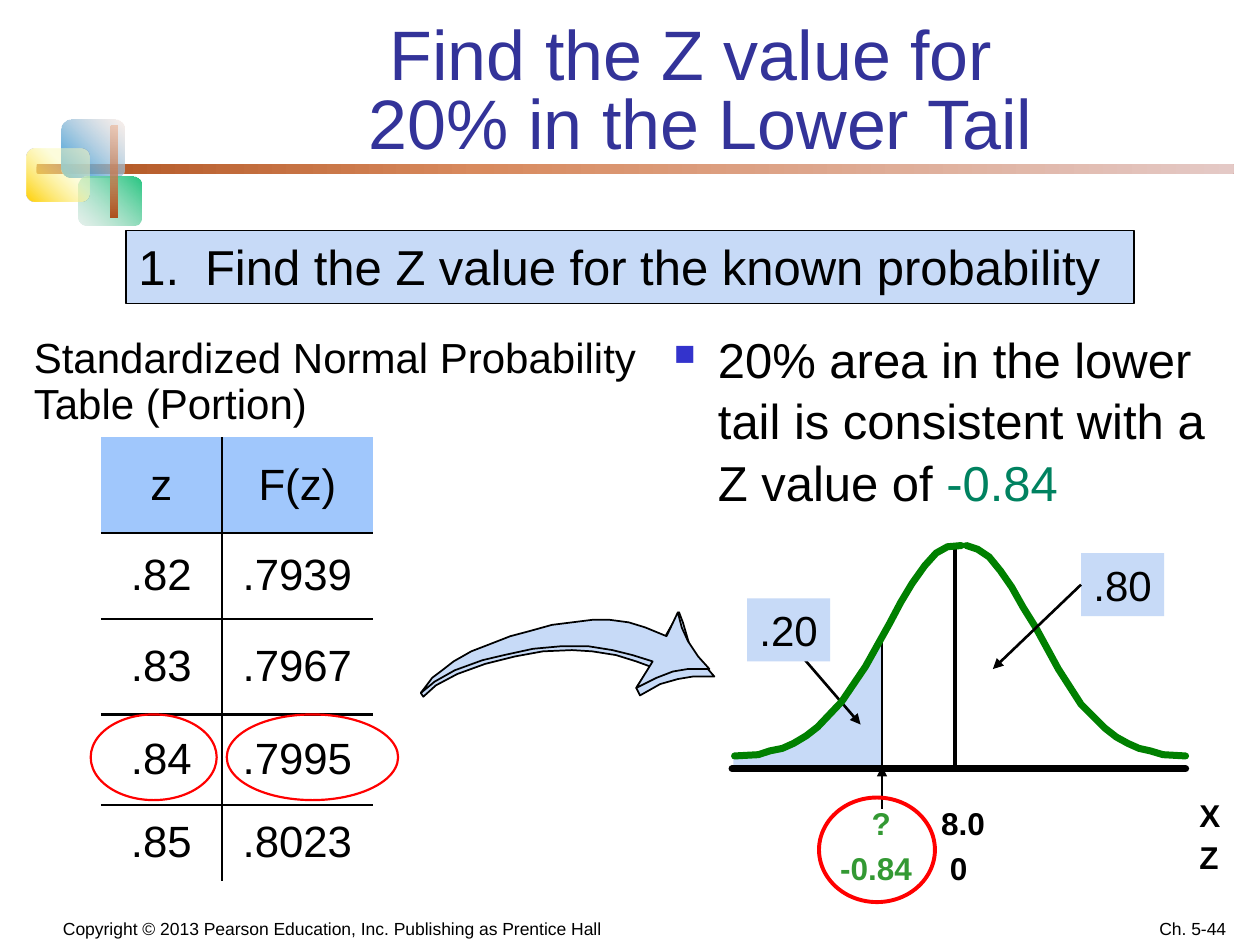
from lxml import etree
from pptx import Presentation
from pptx import util as u
from pptx.dml.color import RGBColor
from pptx.enum import shapes, text
from pptx.oxml import parse_xml
from pptx.oxml.ns import nsdecls, qn

BLACK = RGBColor(0x00, 0x00, 0x00)
NAVY = RGBColor(0x33, 0x33, 0x99)
TEAL = RGBColor(0x00, 0x82, 0x60)
LEAF = RGBColor(0x33, 0x99, 0x33)
GREEN = RGBColor(0x00, 0x80, 0x00)
RED = RGBColor(0xFF, 0x00, 0x00)
PALE = RGBColor(0xC7, 0xDA, 0xF7)
BLUE = RGBColor(0xA0, 0xC7, 0xFC)

ALIGN = text.PP_ALIGN
ANCHOR = text.MSO_ANCHOR
KIND = shapes.MSO_SHAPE

# Each band: box, angle, stops of (position, colour, opacity)
BANDS = [
    ((0.29, 1.3, 9.5, 0.08), 0, [(0, "AE511E", 100), (37, "D88A5E", 100), (100, "E4C9C6", 100)]),
    ((0.49, 0.95, 0.5, 0.46), 315, [(0, "2895D8", 100), (100, "F7E2D9", 50)]),
    ((0.62, 1.4, 0.5, 0.39), 135, [(0, "25C580", 100), (100, "CCE2D9", 50)]),
    ((0.21, 1.18, 0.5, 0.42), 315, [(0, "FFCF01", 100), (63, "FCFCBC", 50)]),
    ((0.88, 1, 0.05, 0.73), 270, [(0, "AE511E", 100), (100, "EAA782", 50)]),
]
ROWS = [("z", "F(z)"), (".82", ".7939"), (".83", ".7967"), (".84", ".7995"), (".85", ".8023")]
WIDTHS = (0.96, 1.2)
HEIGHTS = (0.76, 0.68, 0.76, 0.72, 0.6)

BACK = [
    (3.36, 5.53), (3.34, 5.5), (3.44, 5.39), (3.52, 5.33), (3.61, 5.27), (3.75, 5.2),
    (3.88, 5.14), (4.06, 5.08), (4.21, 5.03), (4.39, 4.99), (4.55, 4.96), (4.71, 4.95),
    (4.86, 4.96), (5.01, 4.98), (5.14, 5.01), (5.27, 5.07), (5.39, 4.86), (5.42, 4.94),
    (5.47, 5.11), (5.54, 5.22), (5.67, 5.37), (5.5, 5.37), (5.38, 5.39), (5.24, 5.43),
    (5.08, 5.52), (5.05, 5.46), (5.16, 5.29), (5.05, 5.25), (4.89, 5.2), (4.7, 5.17),
    (4.54, 5.16), (4.31, 5.17), (4.09, 5.21), (3.85, 5.27), (3.63, 5.35), (3.46, 5.44)]
FRONT = [
    (3.34, 5.5), (3.43, 5.38), (3.51, 5.32), (3.6, 5.25), (3.74, 5.17), (3.87, 5.12),
    (4.05, 5.05), (4.2, 5.01), (4.38, 4.96), (4.54, 4.94), (4.7, 4.92), (4.84, 4.92),
    (4.99, 4.94), (5.12, 4.98), (5.29, 5.05), (5.38, 4.86), (5.41, 4.98), (5.46, 5.09),
    (5.54, 5.21), (5.63, 5.31), (5.46, 5.31), (5.34, 5.33), (5.21, 5.38), (5.05, 5.46),
    (5.18, 5.25), (5.02, 5.2), (4.86, 5.16), (4.67, 5.13), (4.45, 5.13), (4.23, 5.15),
    (4, 5.2), (3.83, 5.24), (3.61, 5.32), (3.45, 5.41)]
TAIL = [
    (7, 6.09), (7, 5.05), (6.88, 5.26), (6.77, 5.45), (6.68, 5.56), (6.49, 5.76),
    (6.42, 5.82), (6.21, 5.93), (6.09, 5.97), (5.97, 5.99), (5.82, 6), (5.82, 6.09)]
LEFT = [
    (5.83, 6), (6.02, 5.99), (6.11, 5.96), (6.21, 5.94), (6.3, 5.9), (6.4, 5.84),
    (6.49, 5.77), (6.68, 5.57), (6.87, 5.29), (7.06, 4.95), (7.15, 4.78), (7.24, 4.63),
    (7.34, 4.49), (7.43, 4.39), (7.52, 4.34), (7.63, 4.33)]
RIGHT = [
    (9.41, 6), (9.23, 5.99), (9.13, 5.96), (9.04, 5.94), (8.95, 5.9), (8.86, 5.85),
    (8.77, 5.78), (8.58, 5.59), (8.4, 5.31), (8.22, 4.98), (8.12, 4.82), (8.03, 4.66),
    (7.94, 4.53), (7.85, 4.42), (7.76, 4.36), (7.67, 4.33)]


def inches(vals):
    return [u.Inches(v) for v in vals]


def style(shape, fill=None, line=None, width=1):
    shape.shadow.inherit = False
    if fill is None:
        shape.fill.background()
    else:
        shape.fill.solid()
        shape.fill.fore_color.rgb = fill
    if line is None:
        shape.line.fill.background()
    else:
        shape.line.color.rgb = line
        shape.line.width = u.Pt(width)
    return shape


def add_shape(slide, kind, box, **look):
    return style(slide.shapes.add_shape(kind, *inches(box)), **look)


def add_band(slide, box, angle, stops):
    band = add_shape(slide, KIND.ROUNDED_RECTANGLE, box)
    marks = "".join(
        f'<a:gs pos="{pos * 1000}"><a:srgbClr val="{color}">'
        f'<a:alpha val="{alpha * 1000}"/></a:srgbClr></a:gs>' for pos, color, alpha in stops)
    grad = parse_xml(f'<a:gradFill {nsdecls("a")} rotWithShape="1"><a:gsLst>{marks}</a:gsLst>'
                     f'<a:lin ang="{angle * 60000}" scaled="0"/></a:gradFill>')
    props = band._element.spPr
    props.replace(props.find(qn("a:noFill")), grad)


def add_path(slide, points, close=True, **look):
    first, *rest = [inches(point) for point in points]
    pen = slide.shapes.build_freeform(*first)
    pen.add_line_segments(rest, close=close)
    return style(pen.convert_to_shape(), **look)


def add_line(slide, start, end, width, arrow=False, cap="flat"):
    line = slide.shapes.add_connector(shapes.MSO_CONNECTOR.STRAIGHT, *inches(start + end))
    line.line.color.rgb = BLACK
    line.line.width = u.Pt(width)
    stroke = line.line._get_or_add_ln()
    stroke.set("cap", cap)
    if arrow:
        etree.SubElement(stroke, qn("a:tailEnd"), type="triangle")
    etree.SubElement(line._element.spPr, qn("a:effectLst"))
    return line


def set_font(par, size, color=BLACK, bold=False, align=ALIGN.LEFT):
    par.alignment = align
    par.font.name = "Arial"
    par.font.size = u.Pt(size)
    par.font.bold = bold
    par.font.color.rgb = color


def write(shape, words, size, color=BLACK, bold=False, align=ALIGN.LEFT,
          anchor=ANCHOR.TOP, wrap=True):
    frame = shape.text_frame
    frame.word_wrap = wrap
    frame.vertical_anchor = anchor
    frame.text = words
    for par in frame.paragraphs:
        set_font(par, size, color, bold, align)
    return frame


def add_text(slide, box, words, size, **look):
    return write(slide.shapes.add_textbox(*inches(box)), words, size, **look)


def add_tag(slide, box, words):
    tag = add_shape(slide, KIND.RECTANGLE, box, fill=PALE)
    write(tag, words, 24, align=ALIGN.CENTER, anchor=ANCHOR.MIDDLE, wrap=False)
    return tag


def hang(par, width, bullet=""):
    """Indent all but the first line, with an optional square bullet."""
    props = par._p.get_or_add_pPr()
    props.set("marL", str(u.Inches(width)))
    props.set("indent", str(-u.Inches(width)))
    if bullet:
        color = etree.SubElement(props, qn("a:buClr"))
        etree.SubElement(color, qn("a:srgbClr"), val="3333CC")
        etree.SubElement(props, qn("a:buSzPct"), val="60000")
        etree.SubElement(props, qn("a:buChar"), char=bullet)


def add_title(slide):
    title = slide.shapes.title
    title.left, title.top, title.width, title.height = inches((1.94, 0.41, 7.24, 0.94))
    frame = write(title, "", 40, NAVY, align=ALIGN.CENTER, anchor=ANCHOR.BOTTOM)
    par = frame.paragraphs[0]
    par.line_spacing = 0.83
    par.add_run().text = "Find the Z value for "
    par.add_line_break()
    par.add_run().text = "20% in the Lower Tail"


def add_point(slide):
    frame = add_text(slide, (5.25, 2.54, 4.5, 1.6), "", 28)
    par = frame.paragraphs[0]
    hang(par, 0.35, "■")
    par.line_spacing = 1.05
    par.add_run().text = "20% area in the lower tail is consistent with a Z value of "
    value = par.add_run()
    value.text = "-0.84"
    value.font.color.rgb = TEAL


def add_grid(slide):
    """Table with rules between its cells only."""
    box = (0.8, 3.47, sum(WIDTHS), sum(HEIGHTS))
    table = slide.shapes.add_table(len(ROWS), len(WIDTHS), *inches(box)).table
    table.first_row = table.horz_banding = False
    for col, width in zip(table.columns, WIDTHS):
        col.width = u.Inches(width)
    for r, (row, height) in enumerate(zip(table.rows, HEIGHTS)):
        row.height = u.Inches(height)
        for c, cell in enumerate(row.cells):
            sides = {"L": c > 0, "R": c < len(WIDTHS) - 1, "T": r > 0, "B": r < len(ROWS) - 1}
            for side, ruled in sides.items():
                rule = etree.SubElement(cell._tc.get_or_add_tcPr(), qn("a:ln" + side), w="19050")
                paint = etree.SubElement(rule, qn("a:solidFill" if ruled else "a:noFill"))
                if ruled:
                    etree.SubElement(paint, qn("a:srgbClr"), val="000000")
            if r == 0:
                cell.fill.solid()
                cell.fill.fore_color.rgb = BLUE
            else:
                cell.fill.background()
            cell.vertical_anchor = ANCHOR.MIDDLE
            cell.margin_left = cell.margin_right = 0
            cell.text = ROWS[r][c]
            set_font(cell.text_frame.paragraphs[0], 25, align=ALIGN.CENTER)
    for ring in ((1.8, 5.67, 1.36, 0.68), (0.72, 5.67, 1, 0.68)):
        add_shape(slide, KIND.OVAL, ring, line=RED, width=1.25)


def add_curve(slide):
    add_path(slide, TAIL, fill=PALE)
    add_line(slide, (7, 5.08), (7, 6.08), 1)
    add_line(slide, (6.33, 5.17), (6.83, 5.75), 1.5, arrow=True)
    add_line(slide, (7.58, 4.33), (7.58, 6.08), 2.5)
    for side in (RIGHT, LEFT):
        curve = add_path(slide, side, close=False, line=GREEN, width=4)
        curve.line._get_or_add_ln().set("cap", "rnd")
    add_line(slide, (5.81, 6.1), (9.41, 6.1), 4, cap="rnd")
    add_line(slide, (7, 6.42), (7, 6.08), 1, arrow=True)
    add_tag(slide, (5.93, 4.75, 0.66, 0.5), ".20")
    upper = add_tag(slide, (8.58, 4.39, 0.66, 0.5), ".80")
    add_line(slide, (8.58, 4.64), (7.88, 5.31), 1.5, arrow=True).begin_connect(upper, 1)
    for left, top, width, words, color in (
            (9.42, 6.27, 0.42, "X", BLACK), (9.42, 6.6, 0.42, "Z", BLACK),
            (6.82, 6.33, 0.35, "?", LEAF), (6.57, 6.69, 0.77, "-0.84", LEAF),
            (7.37, 6.33, 0.55, "8.0", BLACK), (7.44, 6.69, 0.34, "0", BLACK)):
        add_text(slide, (left, top, width, 0.4), words, 18, color=color, bold=True, wrap=False)
    add_shape(slide, KIND.OVAL, (6.5, 6.33, 0.92, 0.83), line=RED, width=2.25)


def main():
    deck = Presentation()
    deck.slide_width, deck.slide_height = inches((10, 7.5))
    slide = deck.slides.add_slide(deck.slide_layouts[5])
    for band in BANDS:
        add_band(slide, *band)
    add_title(slide)
    step = add_shape(slide, KIND.RECTANGLE, (1, 1.83, 8, 0.58), fill=PALE, line=BLACK, width=0.75)
    frame = write(step, "1.\tFind the Z value for the known probability", 28)
    hang(frame.paragraphs[0], 0.53)
    add_point(slide)
    words = "Standardized Normal Probability\nTable (Portion)"
    caption = add_text(slide, (0.17, 2.58, 5.08, 0.86), words, 24)
    caption.paragraphs[1].line_spacing = 0.95
    add_grid(slide)
    for outline in (BACK, FRONT):
        add_path(slide, outline, fill=PALE, line=BLACK)
    add_curve(slide)
    words = "Copyright © 2013 Pearson Education, Inc. Publishing as Prentice Hall"
    foot = add_text(slide, (0, 7.15, 5, 0.35), words, 10, anchor=ANCHOR.BOTTOM)
    foot.margin_left = u.Inches(0.5)
    add_text(slide, (7.5, 7.15, 2.33, 0.35), "Ch. 5-44", 10, align=ALIGN.RIGHT, anchor=ANCHOR.BOTTOM)
    deck.save("out.pptx")


if __name__ == "__main__":
    main()
